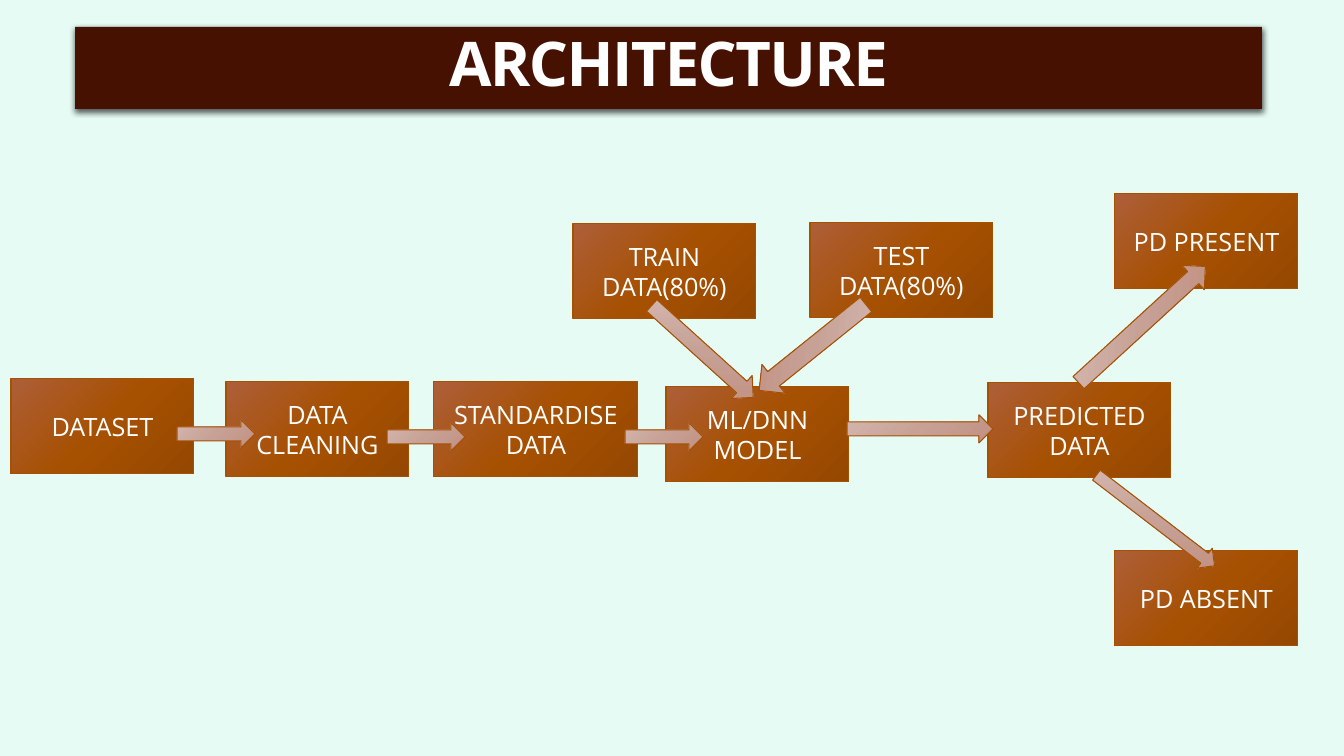
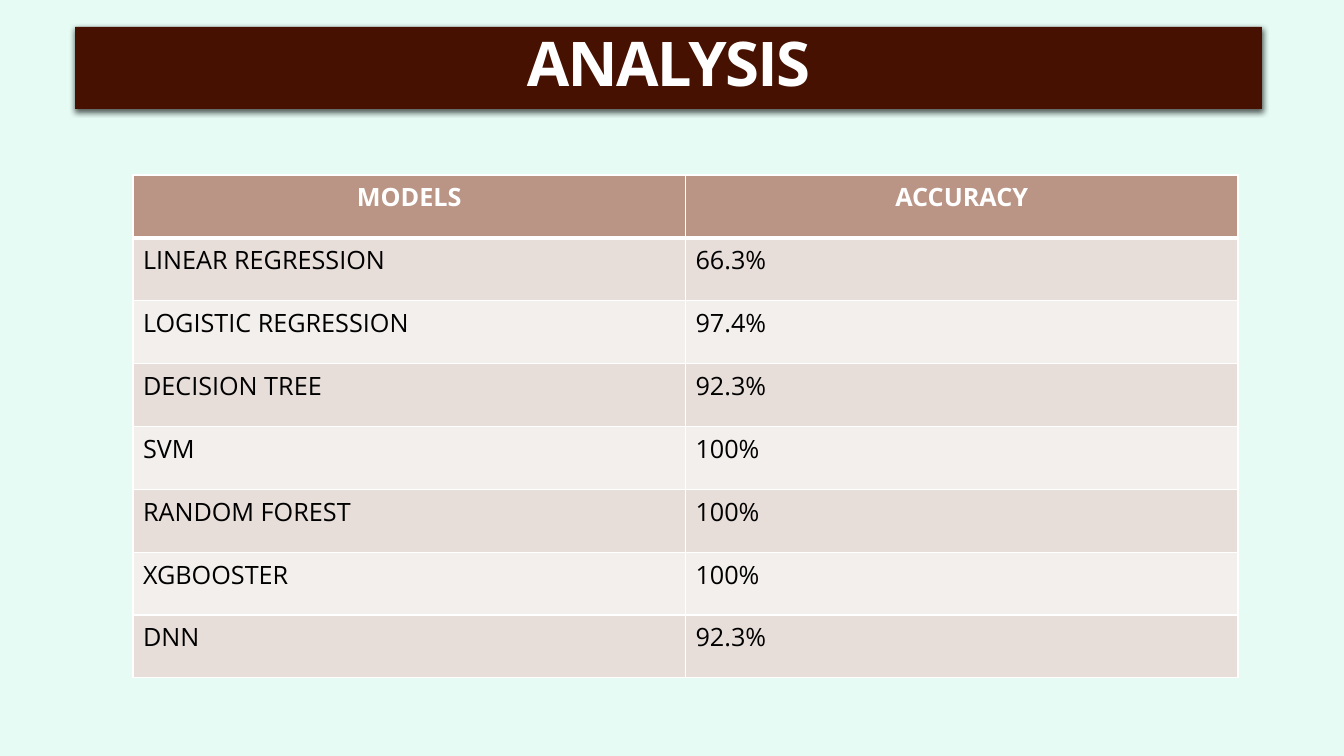
from copy import deepcopy

from lxml.etree import SubElement
from pptx import Presentation
from pptx.dml.color import RGBColor
from pptx.enum.shapes import MSO_SHAPE
from pptx.enum.text import MSO_ANCHOR, MSO_AUTO_SIZE, PP_ALIGN
from pptx.oxml.ns import qn
from pptx.util import Emu, Pt

EMU_PER_PX = 914400 / 100.8
TITLE_ONLY = 5

BOX_WIDTH, BOX_HEIGHT = 183, 95
# label, left, top, width
BOXES = [
    ("PD PRESENT", 1115, 194, BOX_WIDTH),
    ("PD ABSENT", 1115, 551, BOX_WIDTH),
    ("DATASET", 11, 379, BOX_WIDTH),
    ("ML/DNN MODEL", 666, 387, BOX_WIDTH),
    ("DATA CLEANING", 226, 382, BOX_WIDTH),
    ("TRAIN DATA(80%)", 573, 224, BOX_WIDTH),
    ("STANDARDISE DATA", 434, 382, 204),
    ("TEST DATA(80%)", 810, 223, BOX_WIDTH),
    ("PREDICTED DATA", 988, 383, BOX_WIDTH),
]
# left, top, width, height, rotation
ARROWS = [
    (1081, 508, 149, 25, 37.5),
    (387, 423, 78, 28, 0),
    (177, 420, 78, 28, 0),
    (625, 423, 78, 28, 0),
    (847, 415, 146, 28, 0),
    (634, 336, 137, 31, 42.2),
    (744, 329, 137, 37, 141.2),
    (1056, 308, 172, 33, 317.5),
]
ACCURACY_ROWS = [
    ("MODELS", "ACCURACY"),
    ("LINEAR REGRESSION", "66.3%"),
    ("LOGISTIC REGRESSION", "97.4%"),
    ("DECISION TREE", "92.3%"),
    ("SVM", "100%"),
    ("RANDOM FOREST", "100%"),
    ("XGBOOSTER", "100%"),
    ("DNN", "92.3%"),
]


def px(length):
    return Emu(round(length * EMU_PER_PX))


def color(hex_string):
    return RGBColor.from_string(hex_string)


class Deck:
    """Holds the shared style and the slide being built."""

    FONT = "Open Sans"
    BACKGROUND = "E5FBF4"
    TITLE_FILL = "471101"
    WHITE, BLACK = "FFFFFF", "000000"
    OUTLINE = "A65001"
    BOX_GRADIENT = ("AD5F39", "A65001", "954801")
    ARROW_GRADIENT = ("D3B6AE", "C7A196", "C19182")
    HEADER_FILL = "BA9585"
    ROW_FILLS = ("F3EFED", "E7DDD9")

    def __init__(self):
        self.presentation = Presentation()
        self.presentation.slide_width = px(1344)
        self.presentation.slide_height = px(756)
        fill = self.presentation.slide_master.background.fill
        fill.solid()
        fill.fore_color.rgb = color(self.BACKGROUND)
        self.slide = None

    def add_slide(self, title):
        layout = self.presentation.slide_layouts[TITLE_ONLY]
        self.slide = self.presentation.slides.add_slide(layout)
        shape = self.slide.shapes.title
        shape.left, shape.top, shape.width, shape.height = map(px, (75, 27, 1187, 82))
        shape.fill.solid()
        shape.fill.fore_color.rgb = color(self.TITLE_FILL)
        self.add_title_shadow(shape)
        frame = shape.text_frame
        frame.auto_size = MSO_AUTO_SIZE.NONE
        frame.vertical_anchor = MSO_ANCHOR.MIDDLE
        paragraph = frame.paragraphs[0]
        self.set_text(paragraph, title, 44, self.WHITE, True, PP_ALIGN.CENTER)
        paragraph.line_spacing = 0.85
        paragraph._p.pPr.find(qn("a:defRPr")).set("spc", "-120")

    def add_title_shadow(self, shape):
        shape.shadow.inherit = False
        effects = shape.element.spPr.find(qn("a:effectLst"))
        shadow = SubElement(effects, qn("a:outerShdw"), blurRad=str(Pt(4.5)),
                            dist=str(Pt(1.5)), dir="5400000", rotWithShape="0")
        shade = SubElement(shadow, qn("a:srgbClr"), val=self.BLACK)
        SubElement(shade, qn("a:alpha"), val="63000")

    def set_text(self, paragraph, text, size, text_color, bold=False,
                 align=PP_ALIGN.LEFT):
        paragraph.text = text
        paragraph.alignment = align
        font = paragraph.font
        font.name, font.size, font.bold = self.FONT, Pt(size), bold
        font.color.rgb = color(text_color)

    def add_gradient_shape(self, kind, left, top, width, height, gradient):
        shape = self.slide.shapes.add_shape(kind, *map(px, (left, top, width, height)))
        shape.shadow.inherit = False
        shape.line.color.rgb = color(self.OUTLINE)
        shape.line.width = Pt(0.75)
        shape.fill.gradient()
        shape.fill.gradient_angle = 315
        stop_list = shape.element.spPr.find(".//" + qn("a:gsLst"))
        stop_list.insert(1, deepcopy(stop_list[0]))
        for index, stop in enumerate(shape.fill.gradient_stops):
            stop.position = index / 2
            stop.color.rgb = color(gradient[index])
        return shape

    def add_box(self, label, left, top, width):
        shape = self.add_gradient_shape(MSO_SHAPE.RECTANGLE, left, top, width,
                                        BOX_HEIGHT, self.BOX_GRADIENT)
        self.set_text(shape.text_frame.paragraphs[0], label, 18, self.WHITE,
                      align=PP_ALIGN.CENTER)

    def add_arrow(self, left, top, width, height, rotation):
        shape = self.add_gradient_shape(MSO_SHAPE.RIGHT_ARROW, left, top, width,
                                        height, self.ARROW_GRADIENT)
        shape.rotation = rotation

    def add_table(self, rows, left, top, width, height):
        frame = self.slide.shapes.add_table(len(rows), len(rows[0]),
                                            *map(px, (left, top, width, height)))
        table = frame.table
        table.horz_banding = False
        for row_index, texts in enumerate(rows):
            header = row_index == 0
            for column_index, text in enumerate(texts):
                cell = table.cell(row_index, column_index)
                self.set_text(cell.text_frame.paragraphs[0], text, 18,
                              self.WHITE if header else self.BLACK, header,
                              PP_ALIGN.CENTER if header else PP_ALIGN.LEFT)
                self.add_borders(cell, top=3 if row_index == 1 else 1,
                                 bottom=3 if header else 1)
                cell.fill.solid()
                cell.fill.fore_color.rgb = color(
                    self.HEADER_FILL if header else self.ROW_FILLS[row_index % 2])

    def add_borders(self, cell, top, bottom):
        """Draw white cell borders; call before the cell gets its fill."""
        properties = cell._tc.get_or_add_tcPr()
        for side, points in (("L", 1), ("R", 1), ("T", top), ("B", bottom)):
            line = SubElement(properties, qn(f"a:ln{side}"), w=str(Pt(points)))
            fill = SubElement(line, qn("a:solidFill"))
            SubElement(fill, qn("a:srgbClr"), val=self.WHITE)


def main():
    deck = Deck()

    deck.add_slide("ARCHITECTURE")
    for box in BOXES:
        deck.add_box(*box)
    for arrow in ARROWS:
        deck.add_arrow(*arrow)

    deck.add_slide("ANALYSIS")
    deck.add_table(ACCURACY_ROWS, 133, 175, 1105, 503)

    deck.presentation.save("out.pptx")


if __name__ == "__main__":
    main()
